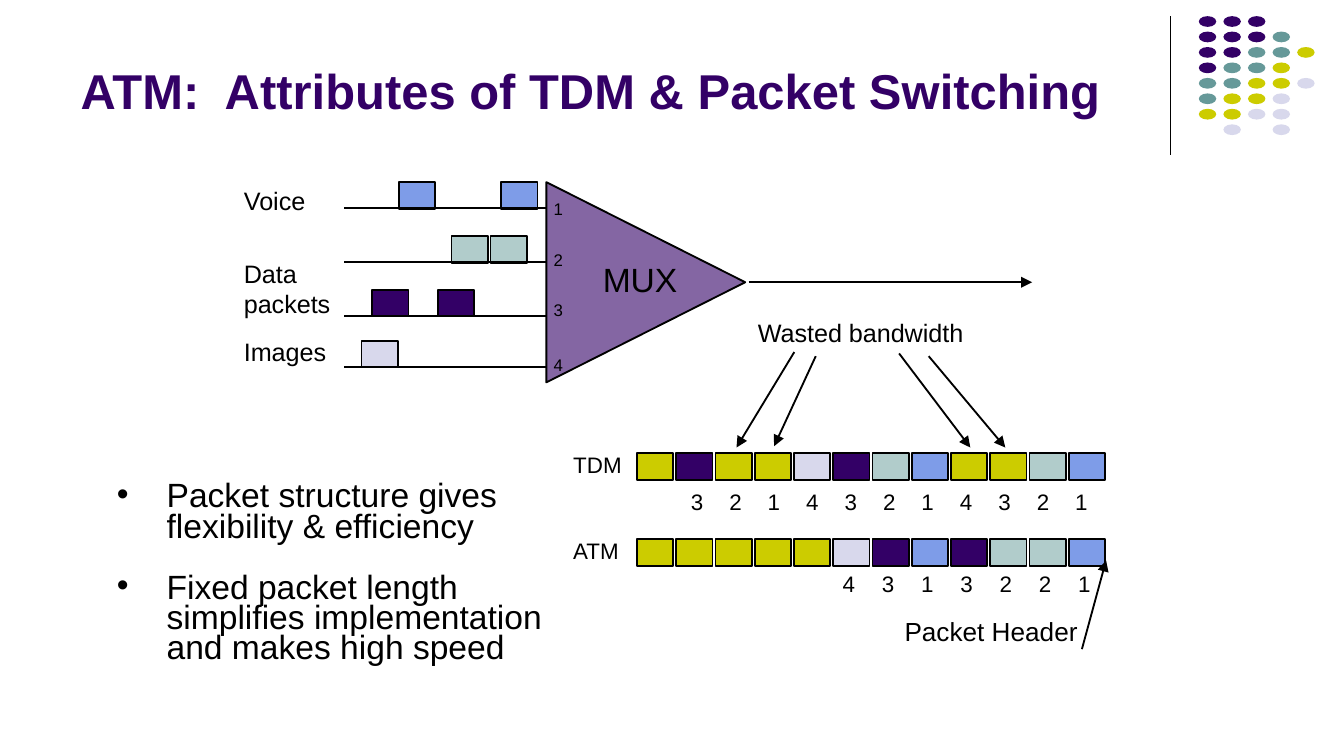
from dataclasses import dataclass

from lxml import etree
from pptx import Presentation
from pptx.dml.color import RGBColor
from pptx.enum.shapes import MSO_CONNECTOR, MSO_SHAPE
from pptx.enum.text import MSO_ANCHOR, MSO_AUTO_SIZE, PP_ALIGN
from pptx.oxml.ns import qn
from pptx.util import Inches, Pt

RECTANGLE = MSO_SHAPE.RECTANGLE
ELLIPSE = MSO_SHAPE.OVAL
TRIANGLE = MSO_SHAPE.ISOSCELES_TRIANGLE
STRAIGHT = MSO_CONNECTOR.STRAIGHT
UNIT = Inches(0.1)  # the slide is a grid of 100 columns by 56.25 rows
CELL_SIZE = (2.7, 2)


@dataclass(frozen=True)
class Theme:
    """Colours and type sizes of the slide."""
    font: str = "Arial"
    ink: str = "000000"
    purple: str = "330066"
    teal: str = "669999"
    yellow: str = "CCCC00"
    lilac: str = "D8D8EC"
    blue: str = "7E9CE8"
    sage: str = "B1CCCB"
    title: float = 26.25
    body: float = 18
    header: float = 14
    label: float = 13.5
    small: float = 12
    port: float = 9


THEME = Theme()
COLOURS = {"P": THEME.purple, "T": THEME.teal, "Y": THEME.yellow,
           "L": THEME.lilac, "B": THEME.blue, "S": THEME.sage}
DOTS = ("PPP", "PPPT", "PPTTY", "PTTY", "TTYYL", "TYYL", "YYLL", " L L")
# Row of the line, then the packets on it as (column, colour)
LANES = ((15.5, ((29.7, "B"), (37.3, "B"))),
         (19.5, ((33.6, "S"), (36.5, "S"))),
         (23.5, ((27.7, "P"), (32.6, "P"))),
         (27.3, ((26.9, "L"),)))
PORT_ROWS = (14.4, 18.2, 21.9, 26)
LANE_LABELS = (("Voice", 13.4, 6.2, 3), ("Data packets", 18.8, 8.6, 5.3),
               ("Images", 24.6, 8.1, 3))
# Name, row, slots, slot numbers, then column, step and row of the numbers
STREAMS = (("TDM", 33.7, "YPYYLPSBYYSB", "32143214321", 50.7, 2.86, 35.9),
           ("ATM", 40.1, "YYYYYLPBPSSB", "4313221", 62, 2.92, 42))
WASTE_ARROWS = ((59.1, 26.2, 54.8, 33.3), (60.7, 26.5, 57.6, 33.2),
                (66.9, 26.3, 72.2, 33.3), (69.1, 26.5, 74.8, 33.3))
BULLETS = ("Packet structure gives flexibility & efficiency",
           "Fixed packet length simplifies implementation and makes high speed")


def grid(*counts):
    """Turn counts of columns or rows into lengths."""
    return [round(count * UNIT) for count in counts]


def colour(code):
    """Return the colour for a hex code."""
    return RGBColor.from_string(code)


def style(paragraph, size, code=THEME.ink, bold=False):
    """Set the font of a paragraph."""
    font = paragraph.font
    font.name, font.size, font.bold = THEME.font, Pt(size), bold
    font.color.rgb = colour(code)


def add_block(slide, kind, left, top, width, height, code, outlined=True):
    """Add a filled preset shape."""
    shape = slide.shapes.add_shape(kind, *grid(left, top, width, height))
    shape.shadow.inherit = False
    shape.fill.solid()
    shape.fill.fore_color.rgb = colour(code)
    if outlined:
        shape.line.color.rgb = colour(THEME.ink)
        shape.line.width = Pt(1)
    else:
        shape.line.fill.background()
    return shape


def add_line(slide, start_x, start_y, end_x, end_y, width=1, arrow=False):
    """Add a straight line, with an arrowhead at its end if wanted."""
    line = slide.shapes.add_connector(STRAIGHT, *grid(start_x, start_y, end_x, end_y))
    line.line.color.rgb = colour(THEME.ink)
    line.line.width = Pt(width)
    properties = line._element.spPr
    if arrow:
        etree.SubElement(properties.find(qn("a:ln")), qn("a:tailEnd"), type="triangle")
    etree.SubElement(properties, qn("a:effectLst"))


def add_text(slide, text, left, top, width, height, size, wrap=False):
    """Add a text box and return its frame."""
    box = slide.shapes.add_textbox(*grid(left, top, width, height))
    frame = box.text_frame
    frame.word_wrap = wrap
    frame.auto_size = MSO_AUTO_SIZE.SHAPE_TO_FIT_TEXT
    frame.margin_left = frame.margin_right = Inches(0.07)
    frame.margin_top = frame.margin_bottom = Inches(0.04)
    frame.text = text
    for paragraph in frame.paragraphs:
        style(paragraph, size)
    return frame


def add_title(slide, text):
    """Place and format the title placeholder."""
    title = slide.shapes.title
    title.left, title.top, title.width, title.height = grid(5, 1, 82.5, 8.4)
    frame = title.text_frame
    frame.text = text
    frame.auto_size = MSO_AUTO_SIZE.NONE
    frame.vertical_anchor = MSO_ANCHOR.BOTTOM
    paragraph = frame.paragraphs[0]
    paragraph.alignment = PP_ALIGN.LEFT
    style(paragraph, THEME.title, THEME.purple, bold=True)


def add_corner(slide):
    """Add the rule and the field of dots at the top right."""
    add_line(slide, 87.1, 1.2, 87.1, 11.5, width=0.75)
    for row, codes in enumerate(DOTS):
        for column, code in enumerate(codes):
            if code in COLOURS:
                add_block(slide, ELLIPSE, 89.2 + 1.83 * column, 1.2 + 1.15 * row,
                          1.3, 0.8, COLOURS[code], outlined=False)


def add_multiplexer(slide):
    """Add the input lanes, the multiplexer and its output."""
    triangle = add_block(slide, TRIANGLE, 40.6, 13.6, 14.9, 14.8, THEME.purple)
    triangle.rotation = 90
    fill = triangle._element.spPr.find(qn("a:solidFill"))
    etree.SubElement(fill[0], qn("a:alpha"), val="60000")
    add_text(slide, "MUX", 44.15, 18.85, 7.1, 3.8, THEME.body)
    add_line(slide, 55.7, 21, 76.8, 21, arrow=True)
    for number, ((row, packets), port_row) in enumerate(zip(LANES, PORT_ROWS), 1):
        for column, code in packets:
            add_block(slide, RECTANGLE, column, row - 1.95, *CELL_SIZE, COLOURS[code])
        add_line(slide, 25.6, row, 40.7, row)
        add_text(slide, str(number), 40.5, port_row, 2.1, 2.3, THEME.port)
    for text, row, width, height in LANE_LABELS:
        add_text(slide, text, 17.45, row, width, height, THEME.label, wrap=True)


def add_stream(slide, name, row, slots, numbers, column, step, number_row):
    """Add a row of slots with its name and numbers set on tab stops."""
    for index, code in enumerate(slots):
        add_block(slide, RECTANGLE, 47.4 + 2.92 * index, row, *CELL_SIZE, COLOURS[code])
    add_text(slide, name, 41.95, row - 0.5, 5.2, 2.8, THEME.small)
    frame = add_text(slide, "\t".join(numbers), column, number_row,
                     step * len(numbers) + 1, 2.8, THEME.small, wrap=True)
    properties = frame.paragraphs[0]._p.get_or_add_pPr()
    stops = etree.Element(qn("a:tabLst"))
    properties.insert(0, stops)
    for index in range(1, len(numbers)):
        position = grid(step * index)[0]
        etree.SubElement(stops, qn("a:tab"), pos=str(position), algn="l")


def add_bullets(slide, texts):
    """Add the bulleted statements."""
    frame = add_text(slide, "\n".join(texts), 8, 35.6, 34, 13.6, THEME.body, wrap=True)
    indent = Inches(0.37)
    for index, paragraph in enumerate(frame.paragraphs):
        paragraph.line_spacing = 0.75
        paragraph.space_before = Pt(16.4 if index else 0)
        properties = paragraph._p.get_or_add_pPr()
        properties.set("marL", str(indent))
        properties.set("indent", str(-indent))
        etree.SubElement(properties, qn("a:buFont"), typeface=THEME.font)
        etree.SubElement(properties, qn("a:buChar"), char="•")
        properties.append(properties.find(qn("a:defRPr")))


def main():
    """Build the slide and save it."""
    presentation = Presentation()
    presentation.slide_width, presentation.slide_height = grid(100, 56.25)
    slide = presentation.slides.add_slide(presentation.slide_layouts[5])
    add_corner(slide)
    add_title(slide, "ATM:  Attributes of TDM & Packet Switching")
    add_multiplexer(slide)
    for stream in STREAMS:
        add_stream(slide, *stream)
    add_text(slide, "Wasted bandwidth", 55.7, 23.2, 17, 3, THEME.label)
    for ends in WASTE_ARROWS:
        add_line(slide, *ends, arrow=True)
    add_bullets(slide, BULLETS)
    add_text(slide, "Packet Header", 66.6, 45.4, 14.5, 3.1, THEME.header)
    add_line(slide, 80.5, 48.3, 82.3, 41.7, arrow=True)
    presentation.save("out.pptx")


main()
